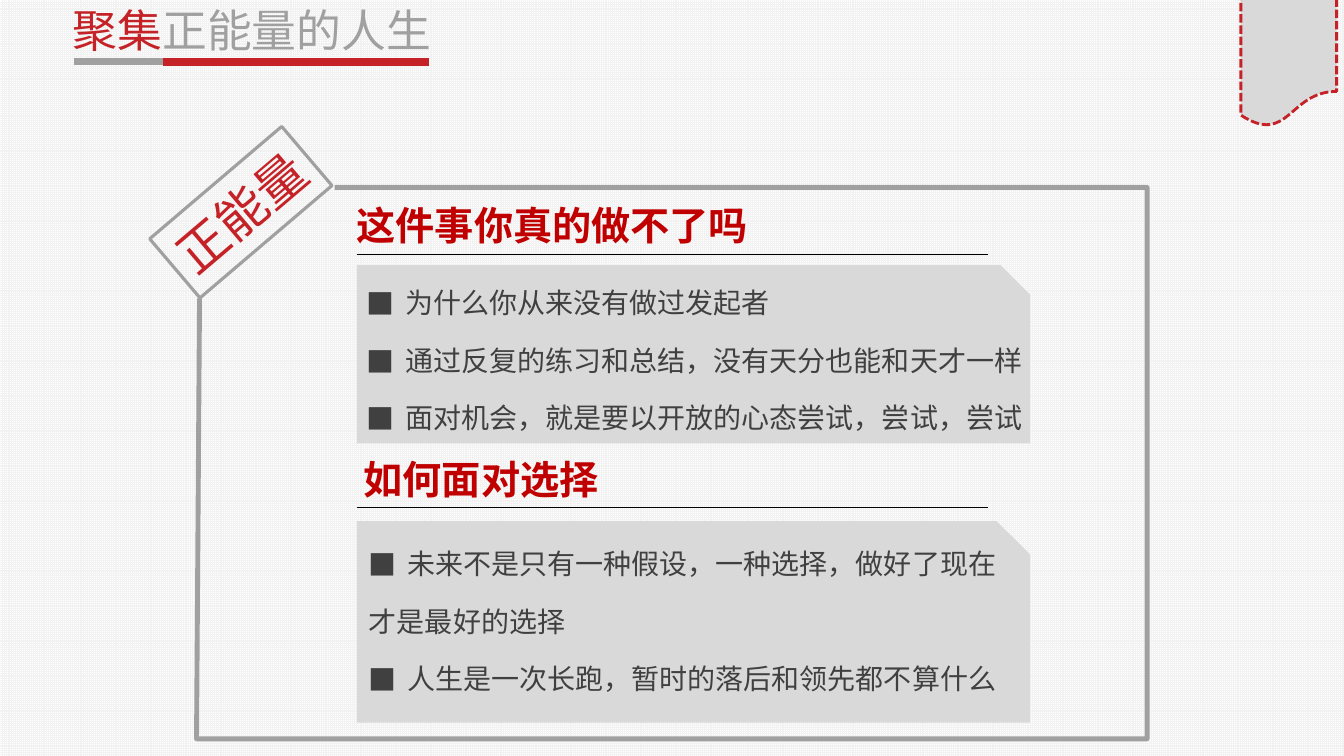
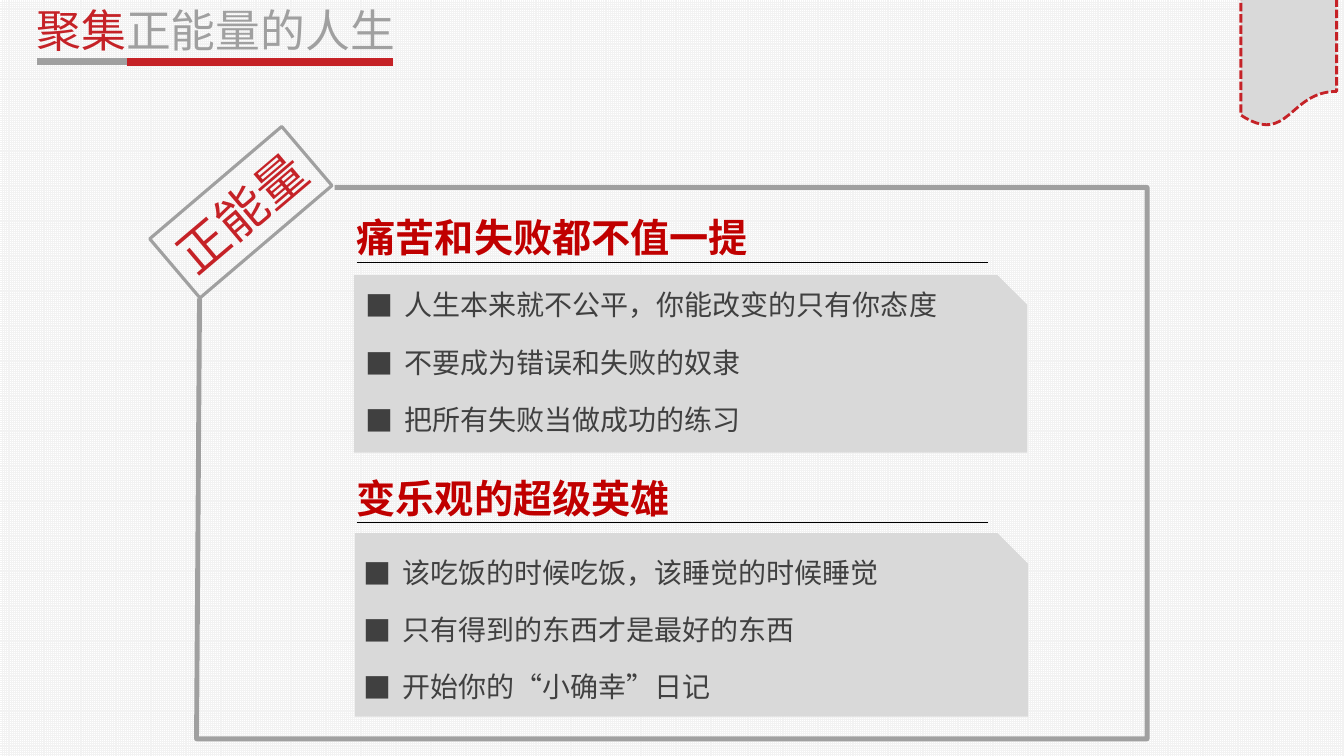
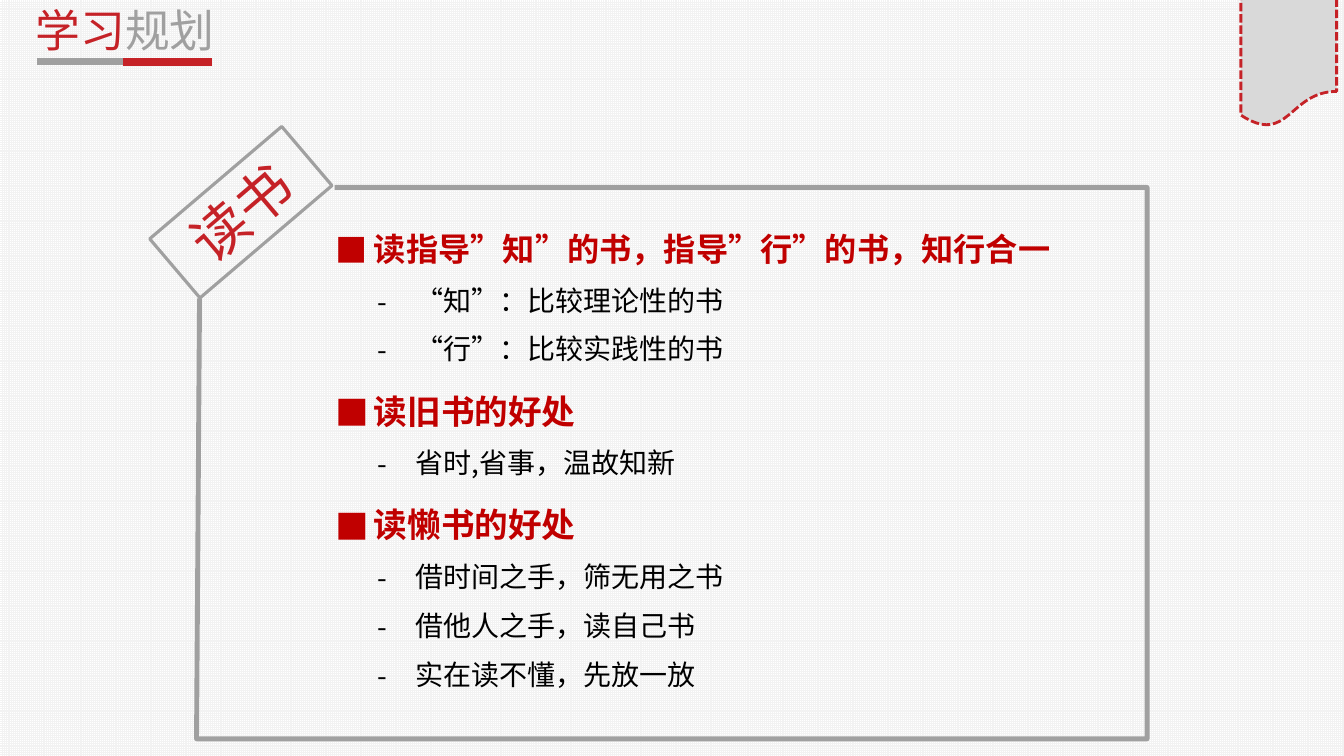
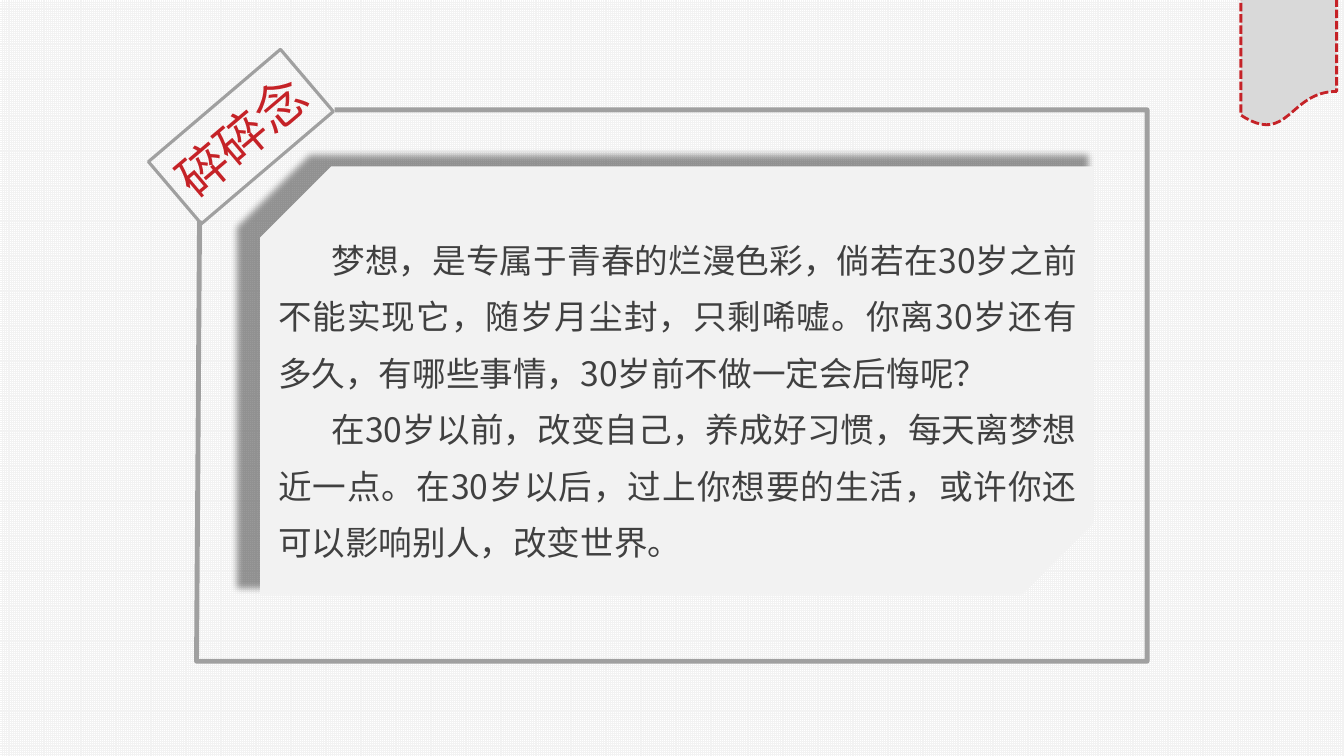
from dataclasses import dataclass

from lxml.etree import SubElement
from pptx import Presentation
from pptx.dml.color import RGBColor as RGB
from pptx.enum.dml import MSO_LINE_DASH_STYLE as Dash, MSO_PATTERN_TYPE as Pattern
from pptx.enum.shapes import MSO_CONNECTOR as Connector, MSO_SHAPE as Preset
from pptx.enum.text import MSO_ANCHOR as Anchor, MSO_AUTO_SIZE as Fit, PP_ALIGN as Align
from pptx.oxml.ns import qn
from pptx.util import Inches, Pt

# The grid: one column and one row are a tenth of an inch
COLUMNS, ROWS = 133.33, 75


def grid(*cells):
    return [Inches(cell / 10) for cell in cells]


def apply(target, values):
    for name, value in values.items():
        setattr(target, name, value)


@dataclass(frozen=True)
class Theme:
    red: str = "C52227"
    strong: str = "C00000"
    grey: str = "A0A0A0"
    panel: str = "D9D9D9"
    pale: str = "F2F2F2"
    white: str = "FFFFFF"
    ink: str = "404040"
    black: str = "000000"
    font: str = "Noto Sans CJK SC"
    stamp_font: str = "Noto Sans CJK JP"
    title: int = 32
    heading: int = 28
    topic: int = 24
    prose: int = 24
    item: int = 20
    stamp: int = 36


class Deck:
    """Holds the style and the current slide."""

    def __init__(self, theme):
        self.theme = theme
        self.file = Presentation()
        self.file.slide_width, self.file.slide_height = grid(COLUMNS, ROWS)
        paper = self.file.slide_master.background.fill
        paper.patterned()
        paper.pattern = Pattern.SMALL_GRID
        paper.fore_color.rgb = RGB.from_string(theme.pale)
        paper.back_color.rgb = RGB.from_string(theme.white)

    def new_slide(self, layout):
        self.slide = self.file.slides.add_slide(self.file.slide_layouts[layout])
        self.shapes = self.slide.shapes

    # Shared building steps
    def place(self, box, left, top, width, height):
        names = ("left", "top", "width", "height")
        apply(box, dict(zip(names, grid(left, top, width, height))))
        box.element.getparent().append(box.element)  # bring to front
        return box

    def frame_text(self, box, anchor=Anchor.TOP):
        apply(box.text_frame, {"auto_size": Fit.NONE, "word_wrap": True,
                               "vertical_anchor": anchor})
        return box.text_frame

    def run(self, paragraph, text, size, color, bold=False, font=None):
        run = paragraph.add_run()
        run.text = text
        name = font or self.theme.font
        apply(run.font, {"size": Pt(size), "bold": bold, "name": name})
        run.font.color.rgb = RGB.from_string(color)
        SubElement(run.font._element, qn("a:ea"), typeface=name)

    def paragraphs(self, frame, texts):
        for index, text in enumerate(texts):
            yield index, frame.add_paragraph() if index else frame.paragraphs[0], text

    def bullet(self, paragraph, mark, margin, hang):
        props = paragraph._p.get_or_add_pPr()
        props.set("marL", str(Inches(margin)))
        props.set("indent", str(Inches(-hang)))
        if mark:
            SubElement(props, qn("a:buFont"), typeface=self.theme.font)
            SubElement(props, qn("a:buChar"), char=mark)
        else:
            SubElement(props, qn("a:buNone"))

    def style(self, shape, fill=None, line=None, width=1.0):
        shape.shadow.inherit = False
        if fill:
            shape.fill.solid()
            shape.fill.fore_color.rgb = RGB.from_string(fill)
        else:
            shape.fill.background()
        if line:
            shape.line.color.rgb = RGB.from_string(line)
            shape.line.width = Pt(width)
        else:
            shape.line.fill.background()
        return shape

    def rule(self, start, end, y, color, width):
        x1, x2, level = grid(start, end, y)
        line = self.shapes.add_connector(Connector.STRAIGHT, x1, level, x2, level)
        line.line.color.rgb = RGB.from_string(color)
        line.line.width = Pt(width)
        SubElement(line.element.spPr, qn("a:effectLst"))

    # Elements of the slides
    def title(self, lead, rest, left, width, bars):
        box = self.place(self.shapes.title, left, 0, width, 6.6)
        paragraph = self.frame_text(box, Anchor.MIDDLE).paragraphs[0]
        apply(paragraph, {"alignment": Align.LEFT, "line_spacing": 0.9})
        self.run(paragraph, lead, self.theme.title, self.theme.red)
        self.run(paragraph, rest, self.theme.title, self.theme.grey)
        start, middle, end = bars
        self.rule(start, middle, 6.1, self.theme.grey, 5.25)
        self.rule(middle, end, 6.15, self.theme.red, 5.25)

    def ribbon(self):
        ribbon = self.shapes.add_shape(Preset.FLOWCHART_DOCUMENT,
                                       *grid(123.1, -5.2, 9.5, 17.8))
        self.style(ribbon, self.theme.panel, self.theme.red, 2)
        ribbon.line.dash_style = Dash.SQUARE_DOT

    def stamped_frame(self, label, top=18.6, size=None, stamp_height=7.7):
        corners = [(113.8, top), (113.8, top + 54.7), (19.5, top + 54.7), (19.8, top + 11)]
        outline = self.shapes.build_freeform(*grid(33.2, top))
        outline.add_line_segments([grid(*corner) for corner in corners], close=False)
        self.style(outline.convert_to_shape(), line=self.theme.grey, width=3.5)
        stamp = self.shapes.add_shape(Preset.RECTANGLE,
                                      *grid(15.3, top - 1.4, 17.2, stamp_height))
        self.style(stamp, line=self.theme.grey, width=2.25).rotation = 319.6
        paragraph = self.frame_text(stamp, Anchor.MIDDLE).paragraphs[0]
        paragraph.alignment = Align.CENTER
        self.run(paragraph, label, size or self.theme.stamp, self.theme.red,
                 font=self.theme.stamp_font)

    def heading(self, text, left, top, rule_y):
        box = self.shapes.add_textbox(*grid(left, top, 43, 7.1))
        paragraph = self.frame_text(box, Anchor.MIDDLE).paragraphs[0]
        self.run(paragraph, text, self.theme.heading, self.theme.strong, bold=True)
        self.rule(35.4, 98, rule_y, self.theme.black, 0.5)

    def panel_list(self, slot, panel, area, items):
        back = self.shapes.add_shape(Preset.SNIP_1_RECTANGLE, *grid(*panel))
        self.style(back, self.theme.panel)
        box = self.place(self.slide.placeholders[slot], *area)
        for index, paragraph, text in self.paragraphs(self.frame_text(box), items):
            plain = text in CONTINUED
            self.bullet(paragraph, "" if plain else "■", 0 if plain else 0.38,
                        0 if plain else 0.38)
            apply(paragraph, {"line_spacing": 1.2, "space_after": Pt(6),
                              "space_before": Pt(6 if index else 0)})
            self.run(paragraph, text, self.theme.item, self.theme.ink)

    def outline(self, area, entries):
        box = self.place(self.slide.placeholders[1], *area)
        for index, paragraph, (level, text) in self.paragraphs(self.frame_text(box), entries):
            topic = level == 0
            paragraph.level = level
            self.bullet(paragraph, "■" if topic else "-", 0.38 if topic else 0.79, 0.38)
            apply(paragraph, {"line_spacing": 1.2, "space_after": Pt(6),
                              "space_before": Pt(6 if topic and index else 0)})
            # The long opening topic is one point smaller
            size = self.theme.topic - (index == 0) if topic else self.theme.item
            self.run(paragraph, text, size,
                     self.theme.strong if topic else self.theme.black, bold=topic)

    def shadow_card(self, left, top, width, height):
        card = self.shapes.add_shape(Preset.SNIP_2_DIAG_RECTANGLE,
                                     *grid(left, top, width, height))
        self.style(card, self.theme.pale)
        card.adjustments[0], card.adjustments[1] = 0.1667, 0
        effects = card.element.spPr.find(qn("a:effectLst"))
        shadow = SubElement(effects, qn("a:outerShdw"), blurRad=str(Pt(5)),
                            dist=str(Inches(0.17)), dir=str(211 * 60000),
                            sx="102000", sy="101000", algn="ctr", rotWithShape="0")
        shade = SubElement(shadow, qn("a:srgbClr"), val=self.theme.black)
        SubElement(shade, qn("a:alpha"), val="40000")

    def prose(self, area, texts):
        box = self.shapes.add_textbox(*grid(*area))
        for _, paragraph, text in self.paragraphs(self.frame_text(box), texts):
            paragraph._p.get_or_add_pPr().set("indent", str(Inches(0.53)))
            apply(paragraph, {"alignment": Align.JUSTIFY, "line_spacing": 1.4})
            self.run(paragraph, text, self.theme.prose, self.theme.ink)


# Paragraphs that carry on the item above them
CONTINUED = {"才是最好的选择"}

# Per slide: title left edge, then heading (text, left, top, rule), panel, list area, items
ENERGY = [
    (6.2, [
        (("这件事你真的做不了吗", 34.4, 18.8, 25.2), (35.4, 26.3, 66.8, 17.7),
         (35.4, 27.2, 69.5, 17.7),
         ["为什么你从来没有做过发起者",
          "通过反复的练习和总结，没有天分也能和天才一样",
          "面对机会，就是要以开放的心态尝试，尝试，尝试"]),
        (("如何面对选择", 35.1, 44, 50.3), (35.4, 51.7, 66.8, 20),
         (35.6, 53.1, 65.6, 17.5),
         ["未来不是只有一种假设，一种选择，做好了现在",
          "才是最好的选择",
          "人生是一次长跑，暂时的落后和领先都不算什么"]),
    ]),
    (2.6, [
        (("痛苦和失败都不值一提", 34.4, 19.9, 26), (35.1, 27.3, 66.8, 17.6),
         (35.3, 27.4, 61.2, 17.1),
         ["人生本来就不公平，你能改变的只有你态度",
          "不要成为错误和失败的奴隶",
          "把所有失败当做成功的练习"]),
        (("变乐观的超级英雄", 34.4, 45.8, 51.8), (35.2, 52.9, 66.8, 18.2),
         (35.1, 53.9, 57.3, 16.2),
         ["该吃饭的时候吃饭，该睡觉的时候睡觉",
          "只有得到的东西才是最好的东西",
          "开始你的“小确幸”日记"]),
    ]),
]

READING = [
    (0, "读指导”知”的书，指导”行”的书，知行合一"),
    (1, "“知”：比较理论性的书"),
    (1, "“行”：比较实践性的书"),
    (0, "读旧书的好处"),
    (1, "省时,省事，温故知新"),
    (0, "读懒书的好处"),
    (1, "借时间之手，筛无用之书"),
    (1, "借他人之手，读自己书"),
    (1, "实在读不懂，先放一放"),
]

MUSINGS = [
    "梦想，是专属于青春的烂漫色彩，倘若在30岁之前不能实现它，随岁月尘封，只剩唏嘘。"
    "你离30岁还有多久，有哪些事情，30岁前不做一定会后悔呢？",
    "在30岁以前，改变自己，养成好习惯，每天离梦想近一点。"
    "在30岁以后，过上你想要的生活，或许你还可以影响别人，改变世界。",
]


def main():
    deck = Deck(Theme())

    # Positive energy: two headed lists on each slide
    for left, sections in ENERGY:
        deck.new_slide(3)
        deck.title("聚集", "正能量的人生", left, 39.6, (left + 1.1, left + 10, left + 36.4))
        deck.ribbon()
        deck.stamped_frame("正能量")
        for slot, (heading, panel, area, items) in enumerate(sections, 1):
            deck.panel_list(slot, panel, area, items)
            deck.heading(*heading)

    # Study plan
    deck.new_slide(1)
    deck.title("学习", "规划", 2.5, 20, (3.7, 12.2, 21))
    deck.ribbon()
    deck.stamped_frame("读书", size=40)
    deck.outline((32.3, 21.5, 77.8, 48), READING)

    # Closing thoughts
    deck.new_slide(6)
    deck.shadow_card(25.8, 16.5, 82.7, 42.5)
    deck.ribbon()
    deck.stamped_frame("碎碎念", top=10.9, stamp_height=8.1)
    deck.prose((26.6, 21.7, 81.2, 40.6), MUSINGS)

    deck.file.save("out.pptx")


if __name__ == "__main__":
    main()
